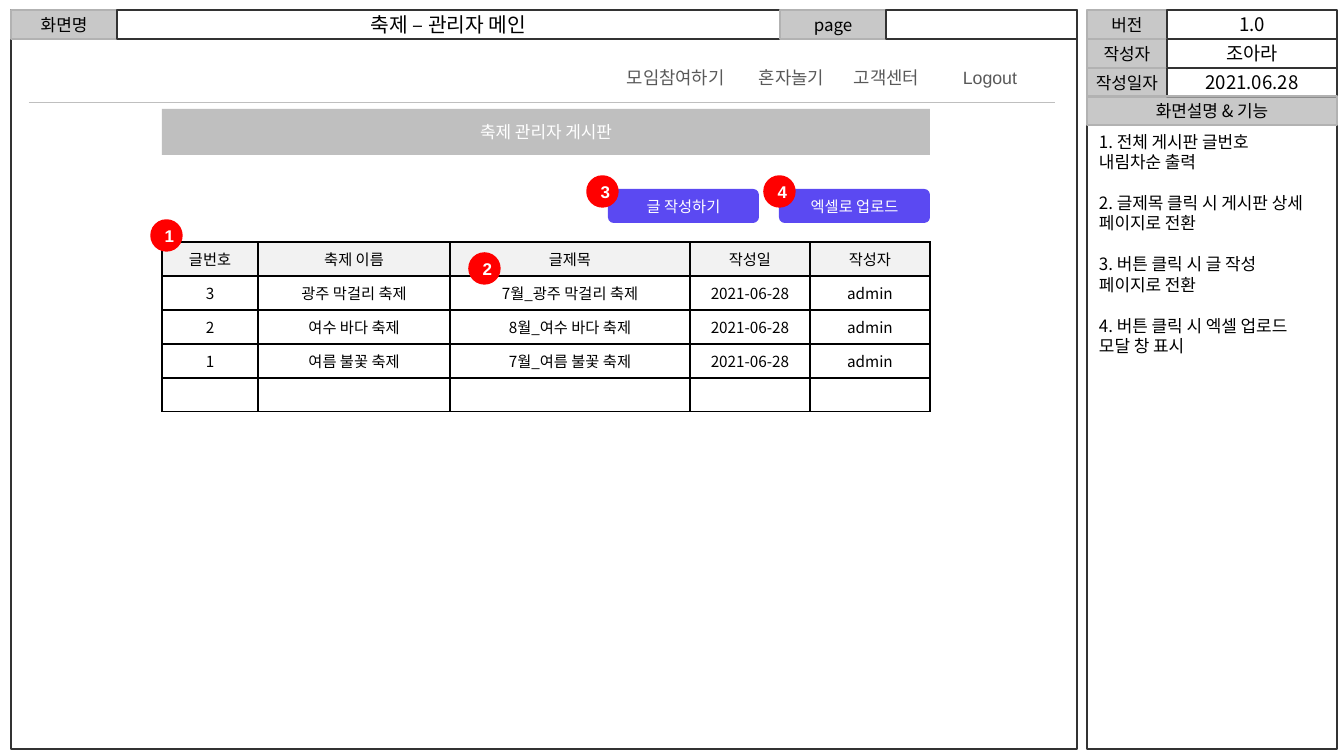
import lxml.etree
import pptx
import pptx.dml.color
import pptx.enum.shapes
import pptx.enum.text
import pptx.oxml.ns
import pptx.util

RGBColor = pptx.dml.color.RGBColor
BLACK = RGBColor(0, 0, 0)
WHITE = RGBColor(255, 255, 255)
OUTLINE = RGBColor(0x33, 0x33, 0x33)
LABEL_GRAY = RGBColor(0xB2, 0xB2, 0xB2)
BANNER_GRAY = RGBColor(0xBF, 0xBF, 0xBF)
NAV_GRAY = RGBColor(0x59, 0x59, 0x59)
HEADER_GRAY = RGBColor(0xF2, 0xF2, 0xF2)
PURPLE = RGBColor(0x5B, 0x49, 0xF2)
RED = RGBColor(255, 0, 0)

KOREAN = "Noto Sans CJK KR"
LATIN = "Arial"
SHAPES = pptx.enum.shapes.MSO_SHAPE
CENTER = pptx.enum.text.PP_ALIGN.CENTER
LEFT = pptx.enum.text.PP_ALIGN.LEFT
MIDDLE = pptx.enum.text.MSO_ANCHOR.MIDDLE
TOP = pptx.enum.text.MSO_ANCHOR.TOP
PX = 914400 / 122

TOP_BAR = [
    ("화면명", 11, 106, True),
    ("축제 – 관리자 메인", 117, 663, False),
    ("page", 780, 106, True),
    ("", 886, 191, False),
]
VERSION_INFO = [("버전", "1.0"), ("작성자", "조아라"), ("작성일자", "2021.06.28")]
PANEL_TITLE = "화면설명 & 기능"
NOTES = [
    ("1. 전체 게시판 글번호", "내림차순 출력"),
    ("2. 글제목 클릭 시 게시판 상세", "페이지로 전환"),
    ("3. 버튼 클릭 시 글 작성", "페이지로 전환"),
    ("4. 버튼 클릭 시 엑셀 업로드", "모달 창 표시"),
]
NAVIGATION = [("모임참여하기", 627), ("혼자놀기", 759), ("고객센터", 854), ("Logout", 963)]
BANNER = "축제 관리자 게시판"
BUTTONS = [("글 작성하기", 608), ("엑셀로 업로드", 779)]
BADGES = [("1", 152, 221), ("2", 470, 254), ("3", 588, 177), ("4", 765, 177)]
FESTIVALS = [
    ("글번호", "축제 이름", "글제목", "작성일", "작성자"),
    ("3", "광주 막걸리 축제", "7월_광주 막걸리 축제", "2021-06-28", "admin"),
    ("2", "여수 바다 축제", "8월_여수 바다 축제", "2021-06-28", "admin"),
    ("1", "여름 불꽃 축제", "7월_여름 불꽃 축제", "2021-06-28", "admin"),
    ("", "", "", "", ""),
]
COLUMN_WIDTHS = [96, 192, 240, 120, 120]

BAR_TOP, BAR_STEP = 10, 29
PANEL_LEFT, PANEL_WIDTH, PANEL_LABEL_WIDTH = 1087, 250, 80
BOARD_LEFT, BOARD_WIDTH = 162, sum(COLUMN_WIDTHS)
TABLE_TOP, ROW_HEIGHT = 242, 34
FRAME_BOTTOM = 749


def px(*lengths):
    return [pptx.util.Emu(round(length * PX)) for length in lengths]


def child(parent, tag, **attributes):
    return lxml.etree.SubElement(parent, pptx.oxml.ns.qn(tag), **attributes)


def format_paragraph(paragraph, size, color, font=KOREAN, bold=False, align=CENTER):
    paragraph.alignment = align
    for run in paragraph.runs:
        run.font.size = pptx.util.Pt(size)
        run.font.bold = bold
        run.font.name = font
        run.font.color.rgb = color
        child(run.font._element, "a:ea", typeface=KOREAN)


def add_box(slide, box, fill, line=None, text="", size=10, color=BLACK,
            kind=SHAPES.RECTANGLE, line_width=0.75, wrap=True, **text_style):
    shape = slide.shapes.add_shape(kind, *px(*box))
    shape.shadow.inherit = False
    if fill is None:
        shape.fill.background()
    else:
        shape.fill.solid()
        shape.fill.fore_color.rgb = fill
    if line is None:
        shape.line.fill.background()
    else:
        shape.line.color.rgb = line
        shape.line.width = pptx.util.Pt(line_width)
    shape.text_frame.word_wrap = wrap
    shape.text_frame.vertical_anchor = MIDDLE
    if text:
        shape.text_frame.text = text
        for paragraph in shape.text_frame.paragraphs:
            format_paragraph(paragraph, size, color, **text_style)
    return shape


def add_label(slide, box, text):
    shape = add_box(slide, box, LABEL_GRAY, LABEL_GRAY, text, wrap=False)
    color = shape._element.spPr.find(pptx.oxml.ns.qn("a:solidFill"))[0]
    child(color, "a:alpha", val="70000")


def add_notes(slide):
    top = BAR_TOP + 4 * BAR_STEP - 1
    lines = "\n".join("\n".join(note) for note in NOTES)
    panel = add_box(slide, (PANEL_LEFT, top, PANEL_WIDTH, FRAME_BOTTOM - top),
                    WHITE, OUTLINE, lines, wrap=False, align=LEFT)
    panel.text_frame.vertical_anchor = TOP
    for index, paragraph in enumerate(panel.text_frame.paragraphs):
        paragraph.line_spacing = pptx.util.Pt(12.1)
        if index and index % 2 == 0:
            paragraph.space_before = pptx.util.Pt(12)


def add_information(slide):
    for row, (label, value) in enumerate(VERSION_INFO):
        top = BAR_TOP + row * BAR_STEP
        add_label(slide, (PANEL_LEFT, top, PANEL_LABEL_WIDTH, BAR_STEP), label)
        add_box(slide, (PANEL_LEFT + PANEL_LABEL_WIDTH, top,
                        PANEL_WIDTH - PANEL_LABEL_WIDTH, BAR_STEP),
                WHITE, OUTLINE, value, 11)
    top = BAR_TOP + len(VERSION_INFO) * BAR_STEP - 1
    add_label(slide, (PANEL_LEFT, top, PANEL_WIDTH, BAR_STEP), PANEL_TITLE)


def add_top_bar(slide):
    for text, left, width, is_label in TOP_BAR:
        box = (left, BAR_TOP, width, BAR_STEP)
        if is_label:
            add_label(slide, box, text)
        else:
            add_box(slide, box, WHITE, OUTLINE, text, 12)


def add_navigation(slide):
    for text, left in NAVIGATION:
        box = slide.shapes.add_textbox(*px(left, 60, 100, 34))
        frame = box.text_frame
        frame.word_wrap = False
        frame.margin_left = frame.margin_right = 0
        frame.vertical_anchor = MIDDLE
        frame.text = text
        format_paragraph(frame.paragraphs[0], 10.5, NAV_GRAY, LATIN, align=LEFT)
    rule = slide.shapes.add_connector(
        pptx.enum.shapes.MSO_CONNECTOR.STRAIGHT, *px(29, 102, 1055, 102))
    rule.line.color.rgb = BANNER_GRAY
    rule.line.width = pptx.util.Pt(0.25)
    child(rule._element.spPr, "a:effectLst")


def add_borders(cell):
    properties = cell._tc.get_or_add_tcPr()
    for index, side in enumerate(("a:lnL", "a:lnR", "a:lnT", "a:lnB")):
        border = lxml.etree.Element(pptx.oxml.ns.qn(side), w="12700")
        child(child(border, "a:solidFill"), "a:srgbClr", val=str(BLACK))
        properties.insert(index, border)


def add_festival_table(slide):
    box = px(BOARD_LEFT, TABLE_TOP, BOARD_WIDTH, ROW_HEIGHT * len(FESTIVALS))
    table = slide.shapes.add_table(len(FESTIVALS), len(COLUMN_WIDTHS), *box).table
    for column, width in zip(table.columns, COLUMN_WIDTHS):
        column.width = px(width)[0]
    for row, texts in enumerate(FESTIVALS):
        for column, text in enumerate(texts):
            cell = table.cell(row, column)
            cell.fill.solid()
            cell.fill.fore_color.rgb = WHITE if row else HEADER_GRAY
            cell.vertical_anchor = MIDDLE
            cell.text_frame.text = text
            paragraph = cell.text_frame.paragraphs[0]
            format_paragraph(paragraph, 9, BLACK)
            if not text:
                ending = child(paragraph._p, "a:endParaRPr", sz="900")
                child(ending, "a:latin", typeface=KOREAN)
            add_borders(cell)


def add_board(slide):
    add_box(slide, (BOARD_LEFT, 109, BOARD_WIDTH, 46), BANNER_GRAY,
            text=BANNER, color=WHITE)
    add_festival_table(slide)
    for text, left in BUTTONS:
        add_box(slide, (left, 189, 151, 34), PURPLE, text=text, size=9,
                color=WHITE, kind=SHAPES.ROUNDED_RECTANGLE)
    for number, left, top in BADGES:
        add_box(slide, (left, top, 29, 29), RED, RED, number, color=WHITE,
                kind=SHAPES.OVAL, line_width=2, font=LATIN, bold=True)


def main():
    presentation = pptx.Presentation()
    presentation.slide_width, presentation.slide_height = px(1344, 756)
    slide = presentation.slides.add_slide(presentation.slide_layouts[6])
    add_notes(slide)
    add_box(slide, (11, BAR_TOP, 1066, FRAME_BOTTOM - BAR_TOP), None, OUTLINE)
    add_information(slide)
    add_top_bar(slide)
    add_navigation(slide)
    add_board(slide)
    presentation.save("out.pptx")


if __name__ == "__main__":
    main()
